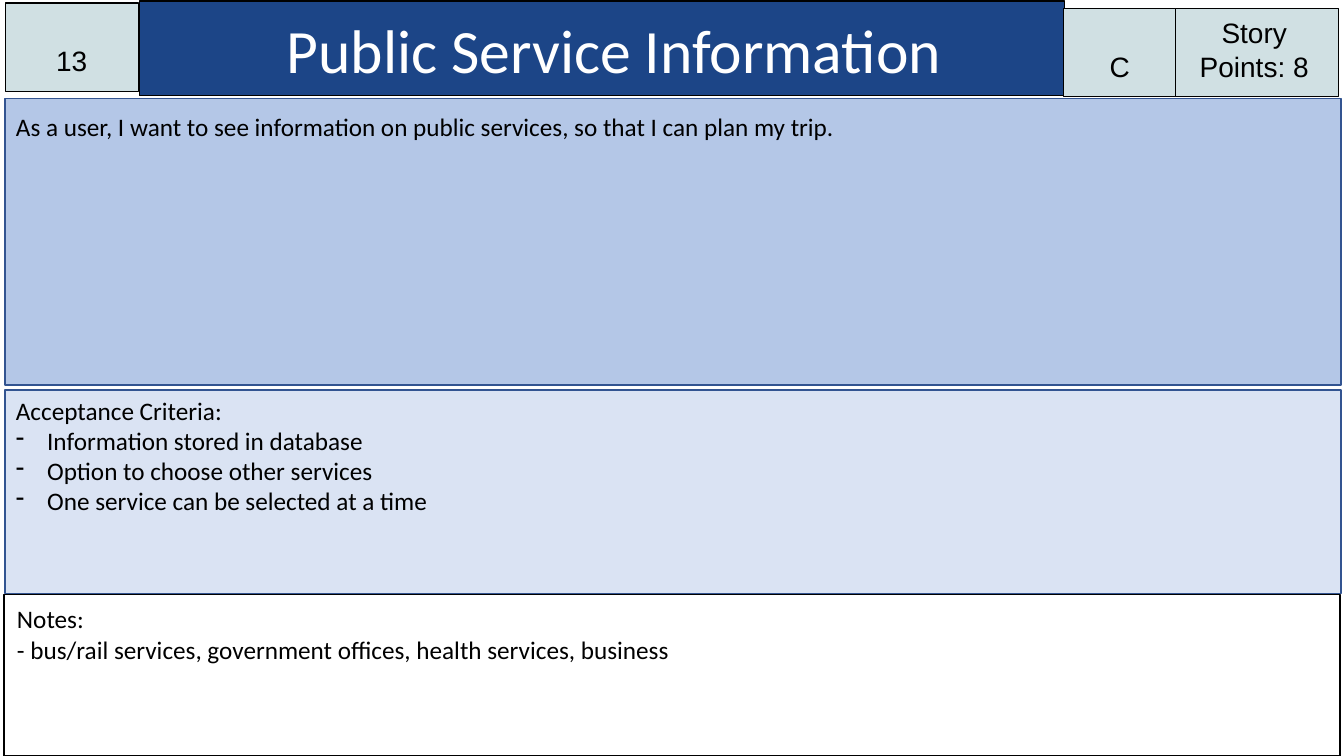
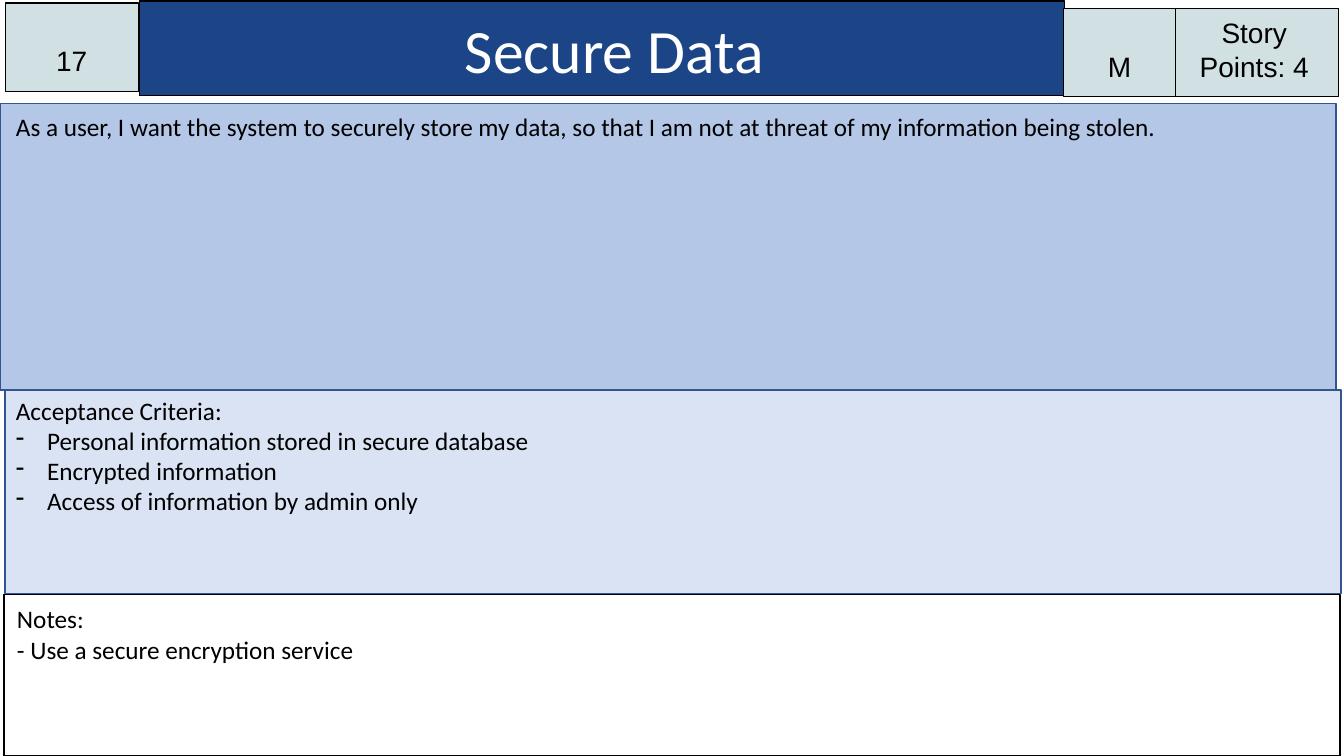
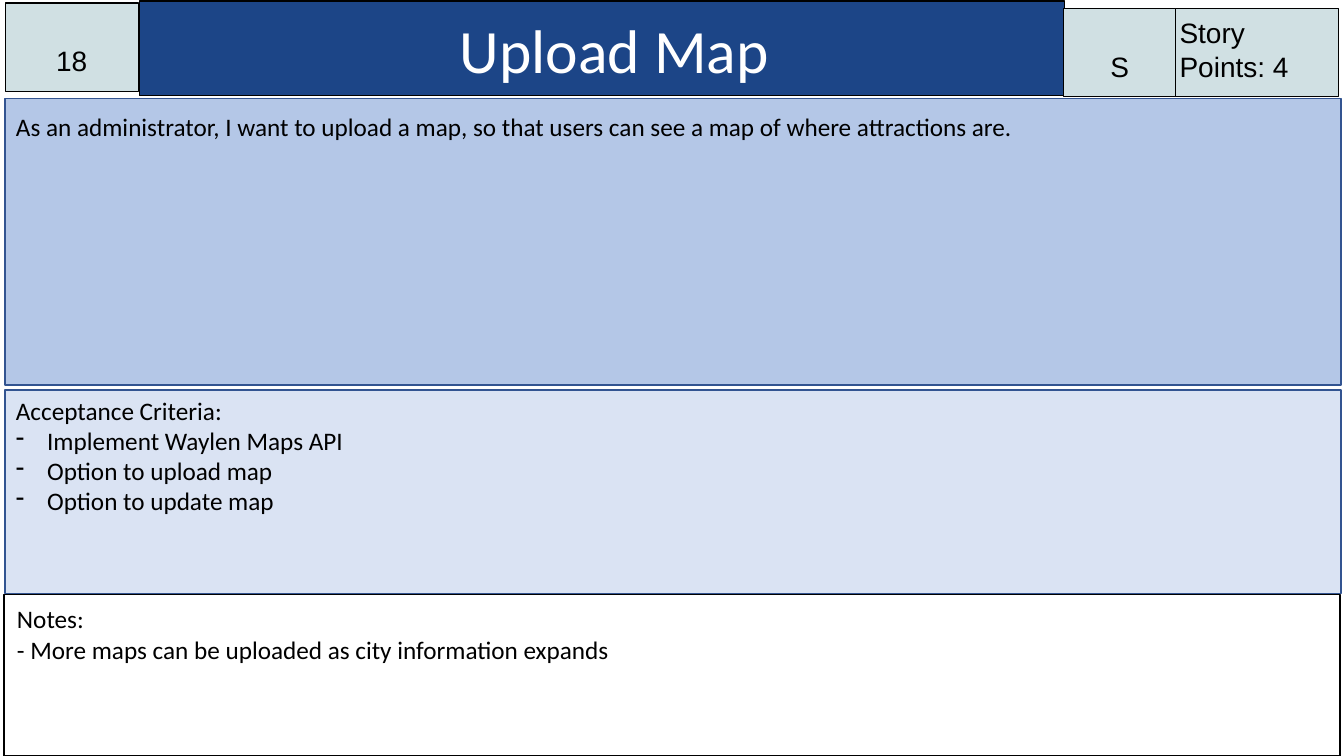
from pptx import Presentation
from pptx.dml.color import RGBColor
from pptx.enum.shapes import MSO_SHAPE as Shape
from pptx.enum.text import MSO_ANCHOR as Anchor, MSO_AUTO_SIZE as Auto, PP_ALIGN as Align
from pptx.oxml.ns import qn
from pptx.util import Inches, Pt
from lxml import etree

BLACK, WHITE = "000000", "FFFFFF"
NAVY, MIST, EDGE = "1C4587", "D0E0E3", "325491"
BLUE, PALE = "B4C7E7", "DAE3F3"

CARDS = [
    {"title": "Public Service Information", "id": "13", "rank": "C", "points": "8",
     "align": Align.CENTER, "top": (0.05, 0.98),
     "story": "As a user, I want to see information on public services, so that I can plan my trip.",
     "tests": ["Information stored in database", "Option to choose other services",
               "One service can be selected at a time"],
     "note": "bus/rail services, government offices, health services, business"},
    {"title": "Secure Data", "id": "17", "rank": "M", "points": "4",
     "align": Align.CENTER, "top": (0, 1.03),
     "story": "As a user, I want the system to securely store my data, so that I am not at threat "
              "of my information being stolen.",
     "tests": ["Personal information stored in secure database", "Encrypted information",
               "Access of information by admin only"],
     "note": "Use a secure encryption service"},
    {"title": "Upload Map", "id": "18", "rank": "S", "points": "4",
     "align": Align.LEFT, "top": (0.05, 0.98),
     "story": "As an administrator, I want to upload a map, so that users can see a map of where "
              "attractions are.",
     "tests": ["Implement Waylen Maps API", "Option to upload map", "Option to update map"],
     "note": "More maps can be uploaded as city information expands"},
]


def paint(shape, fill, line, width):
    shape.shadow.inherit = False
    shape.fill.solid()
    shape.fill.fore_color.rgb = RGBColor.from_string(fill)
    shape.line.color.rgb = RGBColor.from_string(line)
    shape.line.width = Pt(width)


def write(shape, lines, font, size, color, align, pads):
    frame = shape.text_frame
    frame.word_wrap = True
    frame.auto_size = Auto.NONE
    frame.margin_left = frame.margin_right = Inches(0.1)
    frame.margin_top, frame.margin_bottom = [Inches(pad) for pad in pads]
    frame.text = "\n".join(lines)
    for para in frame.paragraphs:
        para.alignment = align
        para.line_spacing = 1.0
        for run in para.runs:
            run.font.name = font
            run.font.size = Pt(size)
            run.font.color.rgb = RGBColor.from_string(color)
    return frame


deck = Presentation()
deck.slide_width, deck.slide_height = Inches(13.33), Inches(7.5)

for card in CARDS:
    slide = deck.slides.add_slide(deck.slide_layouts[5])

    title = slide.shapes.title
    title.left, title.top = Inches(1.38), Inches(0.01)
    title.width, title.height = Inches(9.18), Inches(0.94)
    paint(title, NAVY, BLACK, 0.75)
    frame = write(title, [card["title"]], "Calibri", 44, WHITE, Align.CENTER, (0.1, 0.1))
    frame.vertical_anchor = Anchor.BOTTOM
    props = frame.paragraphs[0]._p.get_or_add_pPr()
    props.set("marL", "0")
    props.set("indent", str(Inches(0.25)))

    badges = [
        (11.6, 0.08, 1.68, "Story Points: " + card["points"], card["align"]),
        (10.55, 0.08, 1.11, card["rank"], Align.CENTER),
        (0.05, 0.03, 1.32, card["id"], Align.CENTER),
    ]
    for left, top, width, text, align in badges:
        badge = slide.shapes.add_shape(
            Shape.RECTANGLE, Inches(left), Inches(top), Inches(width), Inches(0.88))
        paint(badge, MIST, BLACK, 0.75)
        frame = write(badge, [text], "Arial", 20, BLACK, align, (0.1, 0.14))
        frame.vertical_anchor = Anchor.BOTTOM

    panels = [
        (*card["top"], 2.84, BLUE, EDGE),
        (0.05, 3.87, 2.02, PALE, EDGE),
        (0.04, 5.9, 1.6, WHITE, BLACK),
    ]
    for left, top, height, fill, line in panels:
        panel = slide.shapes.add_shape(
            Shape.RECTANGLE, Inches(left), Inches(top), Inches(13.25), Inches(height))
        paint(panel, fill, line, 1)

    texts = [
        (0.06, 3.87, 13.23, ["Acceptance Criteria:"] + card["tests"], True),
        (0.06, 1.06, 13.01, [card["story"]], False),
        (0.07, 5.94, 13.22, ["Notes:", "- " + card["note"]], False),
    ]
    for left, top, width, lines, listed in texts:
        box = slide.shapes.add_textbox(
            Inches(left), Inches(top), Inches(width), Inches(0.1 + 0.3 * len(lines)))
        frame = write(box, lines, "Calibri", 18, BLACK, Align.LEFT, (0.05, 0.05))
        if listed:
            for para in frame.paragraphs[1:]:
                props = para._p.get_or_add_pPr()
                props.set("marL", str(Inches(0.31)))
                props.set("indent", str(-Inches(0.31)))
                etree.SubElement(props, qn("a:buChar")).set("char", "-")

deck.save("out.pptx")
